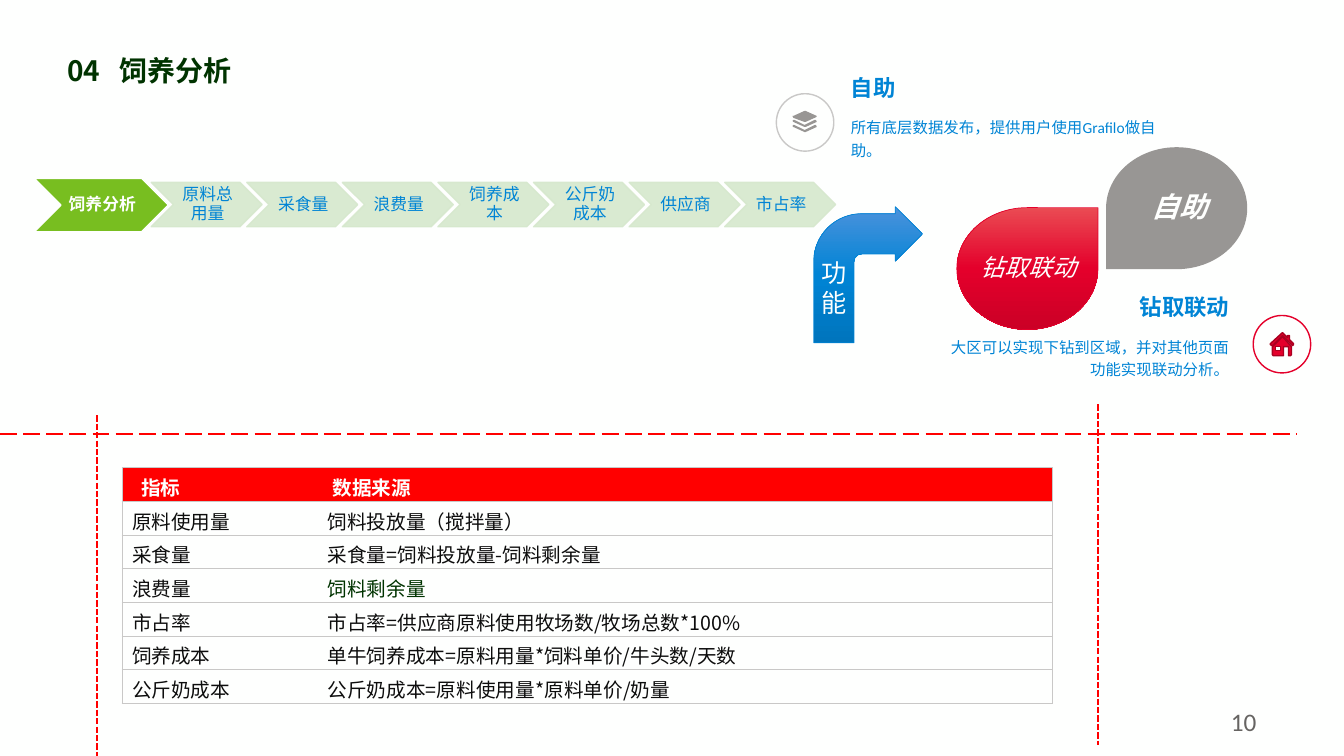
"""Builds the feeding analysis slide: process steps, functions and a table of data sources."""
from copy import deepcopy

from pptx import Presentation
from pptx.dml.color import RGBColor
from pptx.enum.dml import MSO_LINE
from pptx.enum.shapes import MSO_CONNECTOR, MSO_SHAPE
from pptx.enum.text import MSO_ANCHOR, PP_ALIGN
from pptx.oxml.ns import qn
from pptx.oxml.xmlchemy import OxmlElement
from pptx.util import Inches, Pt

LEFT, CENTER, RIGHT = PP_ALIGN.LEFT, PP_ALIGN.CENTER, PP_ALIGN.RIGHT
TOP, MIDDLE = MSO_ANCHOR.TOP, MSO_ANCHOR.MIDDLE
CHEVRON, TEARDROP = MSO_SHAPE.CHEVRON, MSO_SHAPE.TEAR
BENT_ARROW, ELLIPSE = MSO_SHAPE.BENT_ARROW, MSO_SHAPE.OVAL
LONG_DASH, SHORT_DASH = MSO_LINE.LONG_DASH, MSO_LINE.SQUARE_DOT
STRAIGHT = MSO_CONNECTOR.STRAIGHT
CJK, LATIN = "Noto Sans CJK SC", "Calibri"
PLAIN_TABLE = "{2D5ABB26-0587-4C30-8999-92F81FD0307C}"
COLORS = {name: RGBColor.from_string(value) for name, value in {
    "white": "FEFFFE", "forest": "003300", "ink": "0D0D0D", "slate": "666462",
    "gray": "989694", "rule": "C9C8C7", "green": "78BE20", "mint": "D6E8CD",
    "blue": "0084D5", "light blue": "4B92DC", "dark blue": "0075BD",
    "crimson": "E4002B", "light crimson": "EA4B53", "dark crimson": "CB0026",
    "wine": "A90020", "red": "FF0000"}.items()}

deck = Presentation()
deck.slide_width, deck.slide_height = Inches(13.33), Inches(7.5)
CELL = deck.slide_height / 75
page = deck.slides.add_slide(deck.slide_layouts[6])
page.background.fill.solid()
page.background.fill.fore_color.rgb = COLORS["white"]
shapes = page.shapes


def grid(*cells):
    return [round(cell * CELL) for cell in cells]


def write(frame, text, size, color, font=LATIN, bold=False, italic=False,
          align=LEFT, anchor=TOP, spacing=1.0):
    frame.word_wrap = True
    frame.vertical_anchor = anchor
    para = frame.paragraphs[0]
    para.alignment, para.line_spacing = align, spacing
    span = para.add_run()
    span.text = text
    span.font.size, span.font.name = Pt(size), font
    span.font.bold, span.font.italic = bold, italic
    span.font.color.rgb = COLORS[color]
    east_asian = OxmlElement("a:ea")
    east_asian.set("typeface", CJK)
    span.font._element.find(qn("a:latin")).addnext(east_asian)
    return para


title = shapes.add_textbox(*grid(5.7, 5.2, 107.3, 5.4))
title_para = write(title.text_frame, "04\t饲养分析", 20, "forest", CJK, bold=True, spacing=0.9)
tab_list, tab = OxmlElement("a:tabLst"), OxmlElement("a:tab")
tab.set("pos", str(grid(5.2)[0]))
tab.set("algn", "l")
tab_list.append(tab)
title_para._p.get_or_add_pPr().append(tab_list)

sources = [
    ("指标", "数据来源"),
    ("原料使用量", "饲料投放量（搅拌量）"),
    ("采食量", "采食量=饲料投放量-饲料剩余量"),
    ("浪费量", "饲料剩余量"),
    ("市占率", "市占率=供应商原料使用牧场数/牧场总数*100%"),
    ("饲养成本", "单牛饲养成本=原料用量*饲料单价/牛头数/天数"),
    ("公斤奶成本", "公斤奶成本=原料使用量*原料单价/奶量"),
]
table_frame = shapes.add_table(len(sources), 2, *grid(12.1, 46.4, 92.3, 21))
table = table_frame.table
table._tbl.tblPr.find(qn("a:tableStyleId")).text = PLAIN_TABLE
for column, width in zip(table.columns, grid(19.4, 72.9)):
    column.width = width
for row_index, row in enumerate(sources):
    header = row_index == 0
    for column_index, text in enumerate(row):
        cell = table.cell(row_index, column_index)
        properties = cell._tc.get_or_add_tcPr()
        for side in ("lnR" if column_index else "lnL", "lnT", "lnB"):
            border, solid, tint = (OxmlElement(f"a:{tag}") for tag in (side, "solidFill", "srgbClr"))
            border.set("w", str(Pt(0.5)))
            tint.set("val", str(COLORS["rule"]))
            solid.append(tint)
            border.append(solid)
            properties.append(border)
        if header:
            cell.fill.solid()
            cell.fill.fore_color.rgb = COLORS["red"]
            cell.margin_left = grid(1.9, 1.5)[column_index]
        else:
            cell.fill.background()
        color = "white" if header else "forest" if text == "饲料剩余量" else "ink"
        write(cell.text_frame, text, 14, color, CJK, bold=header)

steps = ["饲养分析", "原料总用量", "采食量", "浪费量", "饲养成本", "公斤奶成本", "供应商", "市占率"]
for index, step in enumerate(steps):
    first = index == 0
    place = (3.4, 17.7, 13.3, 5.3) if first else (15 + 9.48 * (index - 1), 18.1, 11, 4.4)
    chevron = shapes.add_shape(CHEVRON, *grid(*place))
    chevron.shadow.inherit = False
    chevron.fill.solid()
    chevron.fill.fore_color.rgb = COLORS["green" if first else "mint"]
    chevron.line.color.rgb = COLORS["white" if first else "mint"]
    chevron.line.width = Pt(1)
    if not first:
        for tint in chevron._element.spPr.iter(qn("a:srgbClr")):
            alpha = OxmlElement("a:alpha")
            alpha.set("val", "90000")
            tint.append(alpha)
    frame = chevron.text_frame
    frame.margin_left, frame.margin_top, frame.margin_right, frame.margin_bottom = grid(0.2, 0.1, 0, 0.1)
    write(frame, step, 12, "white" if first else "blue", CJK if first else LATIN,
          bold=first, align=CENTER, anchor=MIDDLE, spacing=0.9)

function_shapes = [
    (BENT_ARROW, (80.7, 20.5, 10.8, 13.5), 0, (0.37, 0.25, 0.25, 0.44), "blue"),
    (TEARDROP, (109.7, 14.6, 14, 12.1), 180, (), "gray"),
    (TEARDROP, (94.9, 20.6, 14, 12.1), 0, (), "crimson"),
]
for preset, place, rotation, adjustments, color in function_shapes:
    shape = shapes.add_shape(preset, *grid(*place))
    shape.shadow.inherit = False
    shape.rotation = rotation
    for index, value in enumerate(adjustments):
        shape.adjustments[index] = value
    if color == "gray":
        shape.fill.solid()
        shape.fill.fore_color.rgb = COLORS[color]
        shape.line.fill.background()
        continue
    shape.fill.gradient()
    shape.fill.gradient_angle = 270
    stop_list = shape._element.spPr.find(qn("a:gradFill")).find(qn("a:gsLst"))
    stop_list.append(deepcopy(stop_list[0]))
    tones = (f"light {color}", color, f"dark {color}")
    for stop, position, tone in zip(shape.fill.gradient_stops, (0, 0.5, 1), tones):
        stop.position = position
        stop.color.rgb = COLORS[tone]
    shape.line.color.rgb = COLORS[color]
    shape.line.width = Pt(0.5)

labels = [
    ((80.5, 25, 4.3, 7.1), "功能", 18, "white", {"font": CJK}),
    ((111.4, 18.1, 11.1, 4.7), "自助", 20, "white",
     {"bold": True, "italic": True, "align": CENTER, "anchor": MIDDLE}),
    ((96.2, 24.1, 11.6, 4.7), "钻取联动", 17, "white",
     {"italic": True, "align": CENTER, "anchor": MIDDLE}),
    ((92.2, 32.7, 30.7, 5.7), "大区可以实现下钻到区域，并对其他页面功能实现联动分析。", 11, "blue",
     {"align": RIGHT, "spacing": 1.2}),
    ((92.2, 28.2, 30.7, 4.4), "钻取联动", 16, "blue",
     {"bold": True, "align": RIGHT, "anchor": MIDDLE}),
    ((83.4, 10.9, 32.2, 5.7), "所有底层数据发布，提供用户使用Grafilo做自助。", 11, "blue",
     {"spacing": 1.2}),
    ((83.4, 6.5, 32.2, 4.3), "自助", 16, "blue", {"bold": True, "anchor": MIDDLE}),
    ((95.6, 69.6, 30, 4), "10", 18, "slate", {"align": RIGHT}),
]
for place, text, size, color, style in labels:
    box = shapes.add_textbox(*grid(*place))
    write(box.text_frame, text, size, color, **style)

roof = [(23, 12), (22, 13), (12, 3), (2, 13), (0, 12), (0, 11), (12, 0),
        (17, 5), (17, 3), (19, 3), (19, 7), (23, 11)]
walls = [(12, 4), (21, 14), (21, 22), (20, 23), (18, 23), (18, 14), (13, 14),
         (13, 23), (3, 23), (2, 22), (2, 14)]
window = [(10, 14), (5, 14), (5, 18), (10, 18)]
sheet = [(0, 5), (1, 5), (12, 0), (13, 0), (24, 5), (24, 6), (13, 11), (12, 11), (1, 7)]
band = [(0, 10), (1, 9), (2, 9), (12, 14), (22, 9), (23, 9), (24, 10), (24, 11),
        (13, 16), (12, 16), (1, 11)]
lower_band = [(x, y + 5) for x, y in band]
badges = [
    ((124.3, 31.3), (126, 33), "crimson", "crimson", "wine", (roof, walls, window)),
    ((77, 9.3), (78.6, 11), "rule", "gray", None, (sheet, band, lower_band)),
]
for corner, origin, ring_color, icon_color, outline, contours in badges:
    ring = shapes.add_shape(ELLIPSE, *grid(*corner, 5.7, 5.7))
    builder = shapes.build_freeform(*contours[0][0], scale=CELL / 10)
    for contour in contours:
        builder.move_to(*contour[0])
        builder.add_line_segments(contour[1:], close=True)
    icon = builder.convert_to_shape(*grid(*origin))
    for shape, fill, line in ((ring, "white", ring_color), (icon, icon_color, outline)):
        shape.shadow.inherit = False
        shape.fill.solid()
        shape.fill.fore_color.rgb = COLORS[fill]
        if line:
            shape.line.color.rgb = COLORS[line]
            shape.line.width = Pt(1)
        else:
            shape.line.fill.background()

dividers = [((0, 43.1, 128.6, 43.1), LONG_DASH), ((9.6, 41.2, 9.6, 75), SHORT_DASH),
            ((108.9, 40.1, 108.9, 73.9), SHORT_DASH)]
for ends, dash in dividers:
    divider = shapes.add_connector(STRAIGHT, *grid(*ends))
    divider.line.color.rgb = COLORS["red"]
    divider.line.width, divider.line.dash_style = Pt(1.5), dash
    divider._element.spPr.append(OxmlElement("a:effectLst"))

deck.save("out.pptx")
